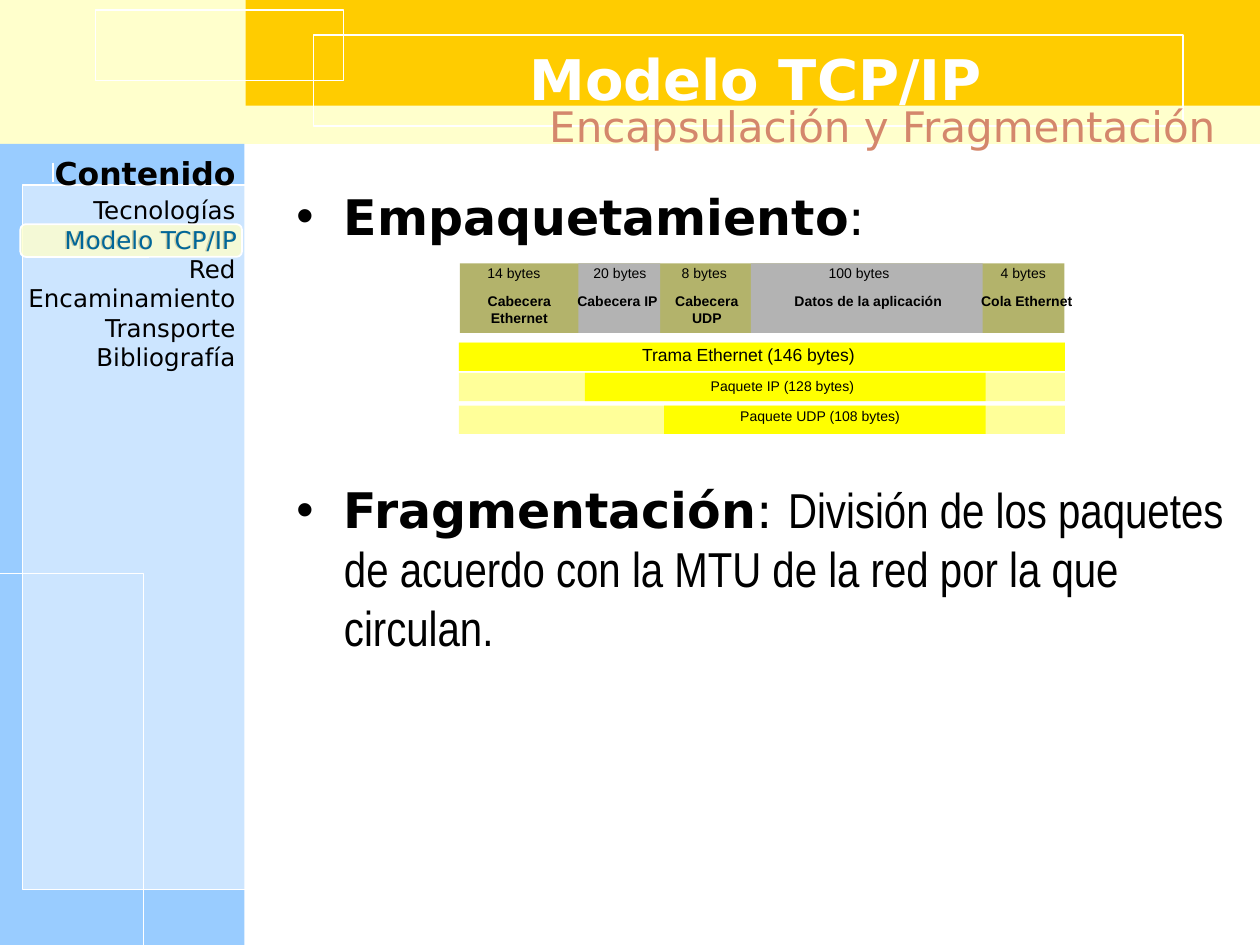
from pptx import Presentation
from pptx.dml.color import RGBColor
from pptx.enum.shapes import MSO_CONNECTOR, MSO_SHAPE
from pptx.enum.text import MSO_ANCHOR, MSO_AUTO_SIZE, PP_ALIGN
from pptx.oxml.ns import qn
from pptx.util import Cm, Pt
from lxml import etree

RECT, ROUND = MSO_SHAPE.RECTANGLE, MSO_SHAPE.ROUNDED_RECTANGLE
LINE = MSO_CONNECTOR.STRAIGHT
MID, TOP = MSO_ANCHOR.MIDDLE, MSO_ANCHOR.TOP
FIXED = MSO_AUTO_SIZE.NONE
LEFT, MIDDLE, RIGHT = PP_ALIGN.LEFT, PP_ALIGN.CENTER, PP_ALIGN.RIGHT

WHITE = RGBColor(0xFF, 0xFF, 0xFF)
BLACK = RGBColor(0, 0, 0)
CREAM = RGBColor(0xFF, 0xFF, 0xCC)
GOLD = RGBColor(0xFF, 0xCC, 0x00)
SKY = RGBColor(0x99, 0xCC, 0xFF)
OLIVE = RGBColor(0xB3, 0xB3, 0x6B)
GREY = RGBColor(0xB3, 0xB3, 0xB3)
YELLOW = RGBColor(0xFF, 0xFF, 0x00)
PALE = RGBColor(0xFF, 0xFF, 0x99)
CORAL = RGBColor(0xD4, 0x87, 0x6C)
TEAL = RGBColor(0x00, 0x66, 0x99)
SANS = "DejaVu Sans"

prs = Presentation()
prs.slide_width, prs.slide_height = Cm(25.4), Cm(19.05)
slide = prs.slides.add_slide(prs.slide_layouts[1])
shapes = slide.shapes


def add_box(x, y, w, h, fill=None, line=None, alpha=None, kind=RECT):
    box = shapes.add_shape(kind, Cm(x), Cm(y), Cm(w), Cm(h))
    box.shadow.inherit = False
    if fill is None:
        box.fill.background()
    else:
        box.fill.solid()
        box.fill.fore_color.rgb = fill
    if alpha:
        tint = box.fill._xPr.find(qn("a:solidFill"))[0]
        etree.SubElement(tint, qn("a:alpha"), val=str(alpha * 1000))
    if line:
        box.line.color.rgb = WHITE
        box.line.width = Pt(line)
    else:
        box.line.fill.background()
    return box


def add_label(x, y, w, h, text, size, align=MIDDLE, font="Arial",
              color=BLACK, bold=False):
    frame = shapes.add_textbox(Cm(x), Cm(y), Cm(w), Cm(h)).text_frame
    frame.word_wrap = True
    frame.text = text
    for par in frame.paragraphs:
        par.alignment = align
        for run in par.runs:
            run.font.name, run.font.size = font, Pt(size)
            run.font.color.rgb, run.font.bold = color, bold


# Backdrop: header and side bar
add_box(0, 0, 25.4, 2.9, CREAM)
add_box(4.95, 0, 20.45, 2.13, GOLD)
add_box(6.32, 0.71, 17.53, 1.83, line=1)
add_box(1.93, 0.2, 5, 1.42, line=0.75)
add_box(0, 2.9, 4.93, 16.15, SKY)
add_box(-0.05, 11.56, 2.95, 7.52, line=0.75)
add_box(0.46, 3.73, 4.5, 14.2, WHITE, 0.75, alpha=50)

# Side menu
menu = ["Tecnologías", "Modelo TCP/IP", "Red", "Encaminamiento",
        "Transporte", "Bibliografía"]
add_label(0, 3.81, 5, 3.84, "\n".join(menu), 14, RIGHT, SANS)
add_label(0, 2.98, 5, 1.02, "Contenido", 18, RIGHT, SANS, bold=True)
tick = shapes.add_connector(LINE, Cm(1.07), Cm(3.28), Cm(1.07), Cm(3.66))
tick.line.color.rgb = WHITE
tick.line.width = Pt(0.75)
etree.SubElement(tick._element.spPr, qn("a:effectLst"))

# Title, brought in front of the backdrop
title = shapes.title
shapes._spTree.append(title._element)
title.left, title.top = Cm(5.28), Cm(0.56)
title.width, title.height = Cm(19.91), Cm(2.03)
frame = title.text_frame
frame.text = "Modelo TCP/IP"
frame.vertical_anchor, frame.auto_size = MID, FIXED
par = frame.paragraphs[0]
par.alignment = MIDDLE
font = par.runs[0].font
font.name, font.size, font.bold = SANS, Pt(32), True
font.color.rgb = WHITE

# Body list: the space before the second point holds the diagram
body = slide.placeholders[1]
shapes._spTree.append(body._element)
body.left, body.top = Cm(5.72), Cm(3.56)
body.width, body.height = Cm(19.2), Cm(13.84)
frame = body.text_frame
frame.vertical_anchor, frame.auto_size = TOP, FIXED
frame.margin_top, frame.margin_right = Cm(0.2), Cm(0.15)
points = [
    (0, [("Empaquetamiento", SANS, True), (":", SANS, False)]),
    (134, [("Fragmentación", SANS, True), (": ", SANS, False),
           ("División de los paquetes de acuerdo con la MTU de la red "
            "por la que circulan.", "Arial Narrow", False)]),
]
for i, (gap, parts) in enumerate(points):
    par = frame.add_paragraph() if i else frame.paragraphs[0]
    par.alignment = LEFT
    par.space_before, par.space_after = Pt(gap), Pt(0)
    props = par._p.get_or_add_pPr()
    props.set("marL", str(Cm(0.96)))
    props.set("indent", str(-Cm(0.96)))
    etree.SubElement(props, qn("a:buChar"), char="•")
    for text, name, bold in parts:
        run = par.add_run()
        run.text = text
        run.font.name, run.font.size, run.font.bold = name, Pt(28), bold
        run.font.color.rgb = BLACK

# Subtitle
add_label(4.95, 1.9, 19.81, 1.45, "Encapsulación y Fragmentación", 24,
          RIGHT, SANS, CORAL)

# Frame fields: name and size
add_box(9.27, 5.31, 12.19, 1.4, OLIVE)
for x, w in [(11.66, 1.65), (15.14, 4.67)]:
    add_box(x, 5.31, w, 1.4, GREY)
fields = [
    ("Cabecera Ethernet", 9.25, 2.44, "14 bytes", 9.14, 2.44),
    ("Cabecera IP", 11.23, 2.44, "20 bytes", 11.28, 2.44),
    ("Cabecera UDP", 13.03, 2.44, "8 bytes", 12.98, 2.44),
    ("Datos de la aplicación", 15.65, 3.71, "100 bytes", 15.67, 3.3),
    ("Cola Ethernet", 19.48, 2.44, "4 bytes", 19.41, 2.44),
]
for name, x, w, count, left, wide in fields:
    add_label(x, 5.77, w, 0.99, name, 8, bold=True)
    add_label(left, 5.21, wide, 0.99, count, 8)

# Nested packets: bar top, left, width, then text
bars = [
    (6.91, 9.25, 12.22, "Trama Ethernet (146 bytes)", 10.97, 6.81, 10),
    (7.52, 11.79, 8.08, "Paquete IP (128 bytes)", 11.66, 7.49, 8),
    (8.18, 13.39, 6.48, "Paquete UDP (108 bytes)", 12.42, 8.1, 8),
]
for y, x, w, text, left, top, size in bars:
    add_box(9.25, y, 12.22, 0.57, PALE)
    add_box(x, y, w, 0.57, YELLOW)
    add_label(left, top, 8.23, 0.7, text, size)

# Highlight of the current menu entry
pill = add_box(0.41, 4.52, 4.47, 0.66, CREAM, 1, alpha=80, kind=ROUND)
pill.adjustments[0] = 0.17
add_label(0.38, 4.42, 4.65, 0.84, menu[1], 14, RIGHT, SANS, TEAL)

prs.save("out.pptx")
